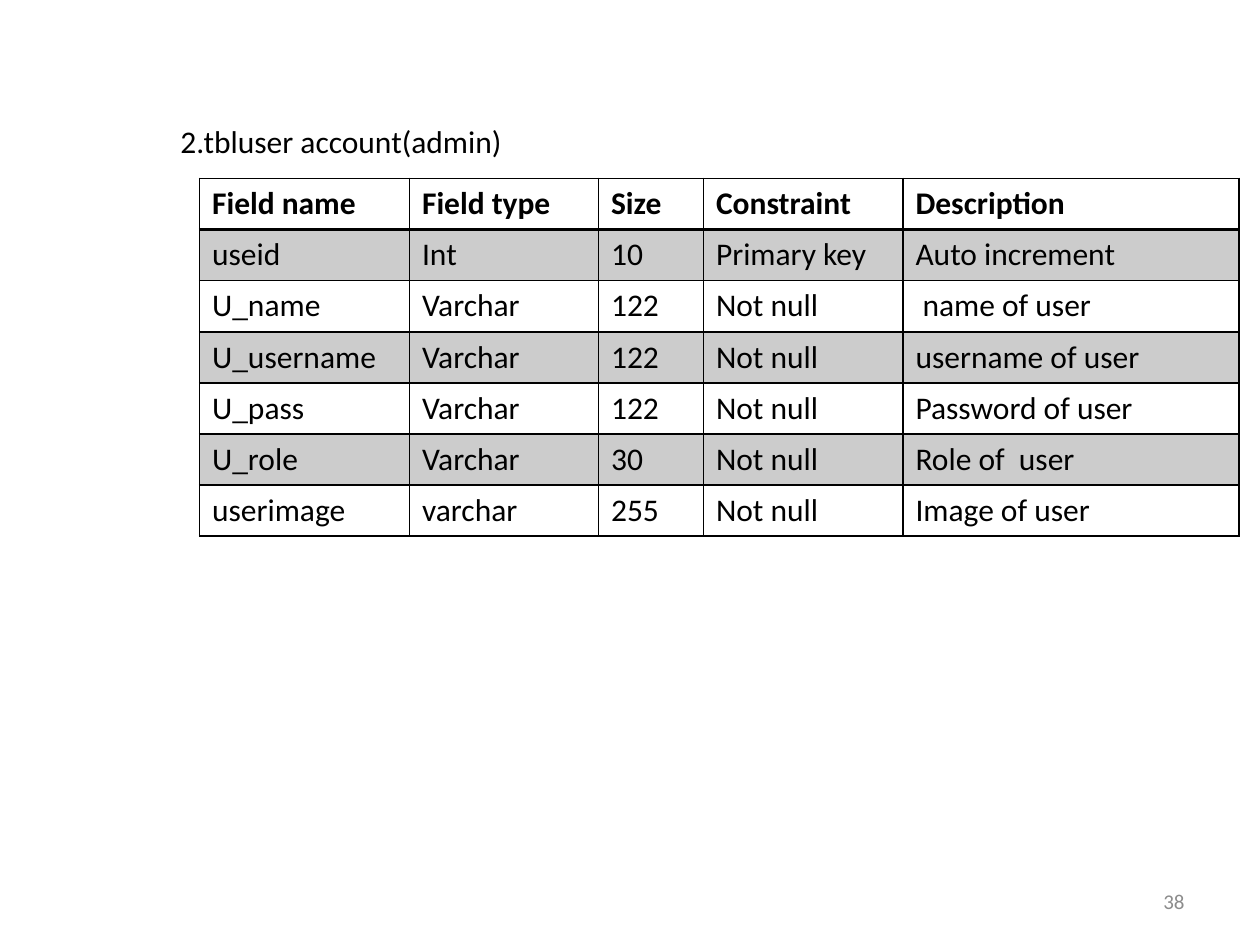
from lxml import etree
from pptx import Presentation
from pptx.dml.color import RGBColor
from pptx.enum import text
from pptx.oxml import ns
from pptx.util import Pt

BLACK = "000000"
FIELDS = [
    ["Field name", "Field type", "Size", "Constraint", "Description"],
    ["useid", "Int", "10", "Primary key", "Auto increment"],
    ["U_name", "Varchar", "122", "Not null", " name of user"],
    ["U_username", "Varchar", "122", "Not null", "username of user"],
    ["U_pass", "Varchar", "122", "Not null", "Password of user"],
    ["U_role", "Varchar", "30", "Not null", "Role of  user"],
    ["userimage", "varchar", "255", "Not null", "Image of user"],
]
COLUMN_WIDTHS = [120, 108, 60, 114, 192]
ROW_HEIGHT = 29.2


def color(hex_string):
    return RGBColor.from_string(hex_string)


def add_xml(parent, tag, **attributes):
    return etree.SubElement(parent, ns.qn(tag), attributes)


class SlideBuilder:
    font = "Calibri"
    size = 18

    def __init__(self, slide):
        self.slide = slide

    def style(self, paragraph, size=None, ink=BLACK, bold=False):
        for run in paragraph.runs:
            run.font.name = self.font
            run.font.size = Pt(size or self.size)
            run.font.bold = bold
            run.font.color.rgb = color(ink)

    def label(self, wording, left, top, width, height, wrap=True,
              align=text.PP_ALIGN.LEFT, anchor=text.MSO_ANCHOR.TOP, **style):
        box = self.slide.shapes.add_textbox(
            Pt(left), Pt(top), Pt(width), Pt(height))
        frame = box.text_frame
        frame.text = wording
        frame.word_wrap = wrap
        frame.vertical_anchor = anchor
        if not wrap:
            frame.auto_size = text.MSO_AUTO_SIZE.SHAPE_TO_FIT_TEXT
        frame.paragraphs[0].alignment = align
        self.style(frame.paragraphs[0], **style)

    def borders(self, cell, **widths):
        """Draw black borders; widths maps the sides L, R, T, B to points."""
        properties = cell._tc.get_or_add_tcPr()
        for side, width in widths.items():
            line = add_xml(properties, f"a:ln{side}", w=str(Pt(width)))
            add_xml(add_xml(line, "a:solidFill"), "a:srgbClr", val=BLACK)

    def shade(self, cell, hex_string, opacity):
        cell.fill.solid()
        cell.fill.fore_color.rgb = color(hex_string)
        tint = cell._tc.tcPr.find(ns.qn("a:solidFill"))[0]
        add_xml(tint, "a:alpha", val=str(opacity * 1000))

    def table(self, rows, left, top, widths, row_height):
        """Add a grid with a bold, underlined header and grey odd rows."""
        grid = self.slide.shapes.add_table(
            len(rows), len(widths), Pt(left), Pt(top),
            Pt(sum(widths)), Pt(row_height * len(rows))).table
        for column, width in zip(grid.columns, widths):
            column.width = Pt(width)
        for r, row in enumerate(rows):
            grid.rows[r].height = Pt(row_height)
            for c, wording in enumerate(row):
                cell = grid.cell(r, c)
                cell.text = wording
                self.style(cell.text_frame.paragraphs[0], bold=r == 0)
                self.borders(cell, L=1, R=1, T=2 if r == 1 else 1,
                             B=2 if r == 0 else 1)
                if r % 2:
                    self.shade(cell, BLACK, 20)
                else:
                    cell.fill.background()


def main():
    deck = Presentation()
    deck.slide_width, deck.slide_height = Pt(720), Pt(540)
    page = SlideBuilder(deck.slides.add_slide(deck.slide_layouts[6]))
    page.table(FIELDS, 114, 102, COLUMN_WIDTHS, ROW_HEIGHT)
    page.label("2.tbluser account(admin)", 96, 66, 200, 29, wrap=False)
    page.label("38", 516, 500.5, 168, 28.75, align=text.PP_ALIGN.RIGHT,
               anchor=text.MSO_ANCHOR.MIDDLE, size=12, ink="8C8C8C")
    deck.save("out.pptx")


if __name__ == "__main__":
    main()
